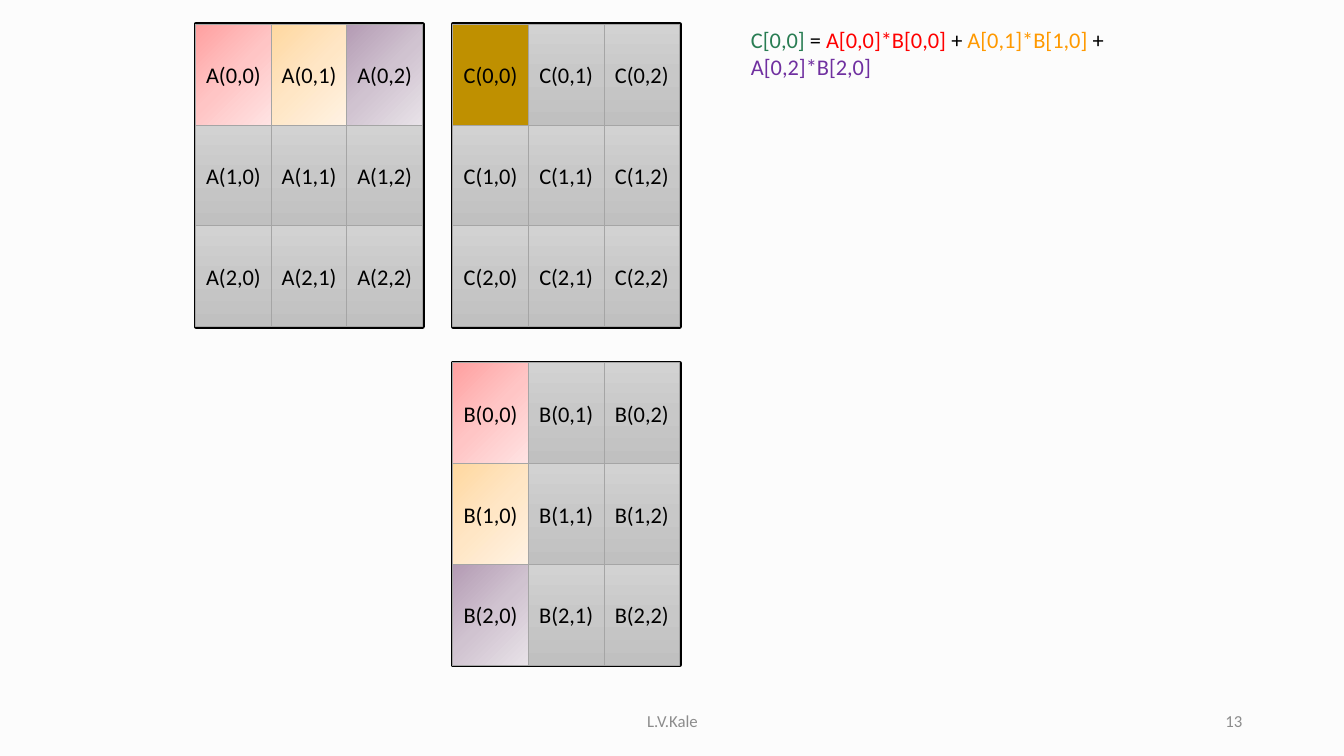
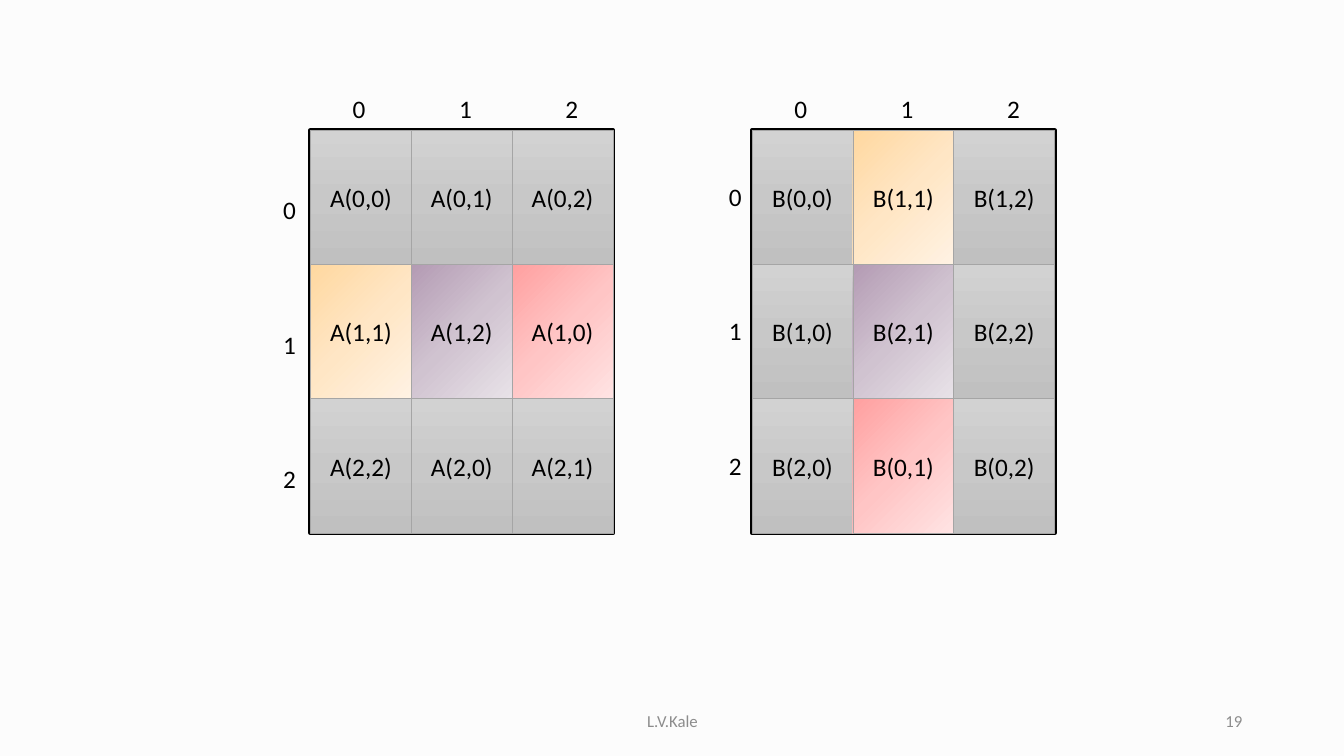
from copy import deepcopy
from dataclasses import dataclass

from pptx import Presentation
from pptx.dml.color import RGBColor
from pptx.enum.shapes import MSO_SHAPE as Shape
from pptx.enum.text import MSO_ANCHOR as Anchor, MSO_AUTO_SIZE as AutoSize, PP_ALIGN as Align
from pptx.oxml.ns import qn
from pptx.util import Inches, Pt

ORDER = 3


@dataclass(frozen=True)
class Gradient:
    angle: int  # clockwise degrees
    colors: tuple


@dataclass(frozen=True)
class Theme:
    font: str = "Calibri"
    background: str = "FCFCFC"
    ink: str = "000000"
    frame: str = "FFFFFF"
    grid: str = "A5A5A5"
    muted: str = "8C8C8C"
    result: str = "BF9000"
    result_text: str = "297D53"
    red_text: str = "FF0000"
    orange_text: str = "FF9900"
    purple_text: str = "7030A0"
    gray: Gradient = Gradient(90, ("D2D2D2", "C8C8C8", "C0C0C0"))
    red: Gradient = Gradient(45, ("FFA0A0", "FFC5C5", "FFE3E3"))
    orange: Gradient = Gradient(45, ("FFD8A0", "FFE6C5", "FFF2E3"))
    purple: Gradient = Gradient(45, ("B49BB4", "D0C3D0", "E8E2E8"))
    small: int = 12
    body: int = 16
    large: int = 18


THEME = Theme()


def rgb(color):
    return RGBColor.from_string(color)


def paint(shape, fill):
    """Fill a shape with a plain colour or a three-stop gradient."""
    if isinstance(fill, str):
        shape.fill.solid()
        shape.fill.fore_color.rgb = rgb(fill)
        return
    shape.fill.gradient()
    shape.fill.gradient_angle = 360 - fill.angle
    stop_list = shape._element.spPr.find(qn("a:gradFill")).find(qn("a:gsLst"))
    stop_list.insert(1, deepcopy(stop_list[0]))
    for stop, position, color in zip(shape.fill.gradient_stops, (0, 0.5, 1), fill.colors):
        stop.position = position
        stop.color.rgb = rgb(color)


class Deck:
    def __init__(self, theme):
        self.theme = theme
        self.presentation = Presentation()
        self.presentation.slide_width = Inches(13.33)
        self.presentation.slide_height = Inches(7.5)
        background = self.presentation.slide_master.background.fill
        background.solid()
        background.fore_color.rgb = rgb(theme.background)
        self.slide = None

    def add_slide(self, number):
        """Start a slide with the shared footer and its page number."""
        blank_layout = self.presentation.slide_layouts[6]
        self.slide = self.presentation.slides.add_slide(blank_layout)
        self.footer(4.42, 4.5, "L.V.Kale", Align.CENTER)
        self.footer(9.42, 3, str(number), Align.RIGHT)

    def style(self, paragraph, size, color, align=Align.LEFT):
        paragraph.alignment = align
        paragraph.font.name = self.theme.font
        paragraph.font.size = Pt(size)
        paragraph.font.color.rgb = rgb(color)

    def text(self, left, top, width, height, runs, size, wrap=True):
        """Add a text box from (text, colour) runs."""
        box = self.slide.shapes.add_textbox(
            Inches(left), Inches(top), Inches(width), Inches(height))
        frame = box.text_frame
        frame.word_wrap = wrap
        frame.auto_size = AutoSize.SHAPE_TO_FIT_TEXT
        paragraph = frame.paragraphs[0]
        self.style(paragraph, size, self.theme.ink)
        for words, color in runs:
            run = paragraph.add_run()
            run.text = words
            if color != self.theme.ink:
                run.font.color.rgb = rgb(color)
        return box

    def footer(self, left, width, words, align):
        color = self.theme.muted
        frame = self.text(left, 6.95, width, 0.4, [(words, color)], self.theme.small).text_frame
        frame.auto_size = AutoSize.NONE
        frame.vertical_anchor = Anchor.MIDDLE
        frame.paragraphs[0].alignment = align

    def rectangle(self, shapes, left, top, width, height, fill, line, weight):
        shape = shapes.add_shape(
            Shape.RECTANGLE, Inches(left), Inches(top), Inches(width), Inches(height))
        shape.shadow.inherit = False
        paint(shape, fill)
        shape.line.color.rgb = rgb(line)
        shape.line.width = Pt(weight)
        return shape

    def matrix(self, name, left, top, width, height, size, highlights,
               entry=lambda row, column: (row, column)):
        """Draw a framed grid; entry tells which element each place holds."""
        theme = self.theme
        shapes = self.slide.shapes.add_group_shape().shapes
        self.rectangle(shapes, left, top, width, height, theme.frame, theme.ink, 3)
        cell_width, cell_height = width / ORDER, height / ORDER
        for row in range(ORDER):
            for column in range(ORDER):
                cell = self.rectangle(
                    shapes, left + column * cell_width, top + row * cell_height,
                    cell_width, cell_height,
                    highlights.get((row, column), theme.gray), theme.grid, 0.5)
                frame = cell.text_frame
                frame.margin_left = frame.margin_right = 0
                frame.vertical_anchor = Anchor.MIDDLE
                paragraph = frame.paragraphs[0]
                i, j = entry(row, column)
                paragraph.text = f"{name}({i},{j})"
                self.style(paragraph, size, theme.ink, Align.CENTER)

    def index_labels(self, left, top, row_left, row_top, row_step):
        """Number the columns above a matrix and the rows beside it."""
        for index in range(ORDER):
            for x, y in ((left + 0.32 + index * 1.055, top - 0.41),
                         (row_left, row_top + index * row_step)):
                self.text(x, y, 0.33, 0.4, [(str(index), self.theme.ink)],
                          self.theme.large, wrap=False)


def product_slide(deck):
    theme = deck.theme
    deck.add_slide(13)
    tints = (theme.red, theme.orange, theme.purple)
    first_row = {(0, index): tint for index, tint in enumerate(tints)}
    first_column = {(index, 0): tint for index, tint in enumerate(tints)}
    for name, left, top, highlights in (
            ("A", 1.94, 0.24, first_row),
            ("B", 4.49, 3.6, first_column),
            ("C", 4.49, 0.24, {(0, 0): theme.result})):
        deck.matrix(name, left, top, 2.25, 3, theme.body, highlights)
    deck.text(7.35, 0.21, 4.18, 0.64, [
        ("C[0,0] ", theme.result_text), ("= ", theme.ink),
        ("A[0,0]*B[0,0] ", theme.red_text), ("+ ", theme.ink),
        ("A[0,1]*B[1,0] ", theme.orange_text), ("+ ", theme.ink),
        ("A[0,2]*B[2,0]", theme.purple_text)], theme.body)


def shifted_slide(deck):
    theme = deck.theme
    deck.add_slide(19)
    tints = (theme.orange, theme.purple, theme.red)
    middle_row = {(1, index): tint for index, tint in enumerate(tints)}
    middle_column = {(index, 1): tint for index, tint in enumerate(tints)}
    top, row_step = 1.29, 4 / ORDER

    def shift_row(row, column):
        return row, (column + row) % ORDER

    def shift_column(row, column):
        """Columns 1 and 2 both move up by one."""
        return (row + min(column, 1)) % ORDER, column

    for name, left, highlights, entry, row_left, row_top in (
            ("A", 3.08, middle_row, shift_row, 2.71, 1.88),
            ("B", 7.46, middle_column, shift_column, 7.13, 1.75)):
        deck.matrix(name, left, top, 3, 4, theme.large, highlights, entry)
        deck.index_labels(left, top, row_left, row_top, row_step)


def main():
    deck = Deck(THEME)
    product_slide(deck)
    shifted_slide(deck)
    deck.presentation.save("out.pptx")


if __name__ == "__main__":
    main()
